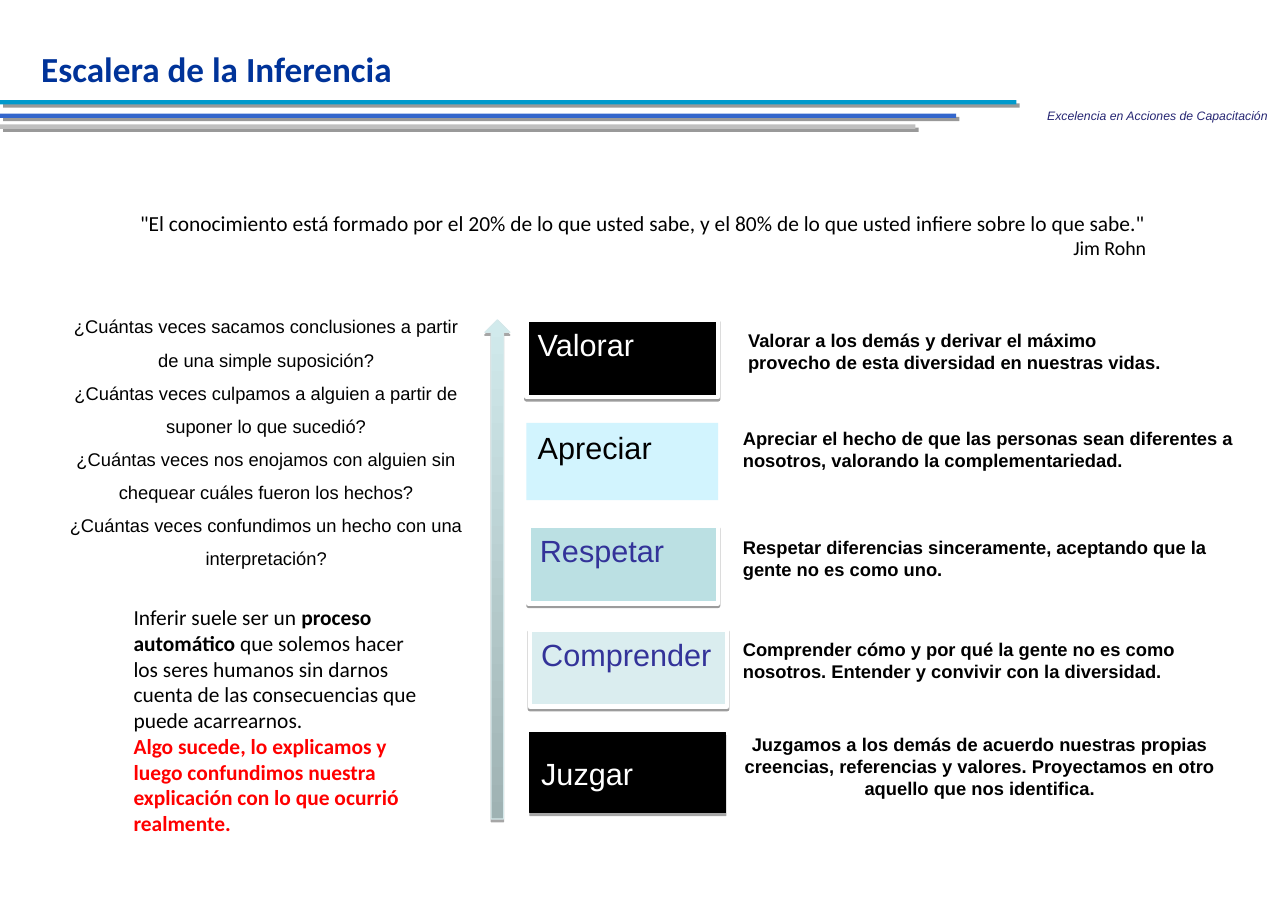
from dataclasses import dataclass

from lxml import etree
from pptx import Presentation
from pptx.dml.color import RGBColor
from pptx.enum.shapes import MSO_SHAPE
from pptx.enum.text import MSO_ANCHOR, MSO_AUTO_SIZE, PP_ALIGN
from pptx.oxml.ns import qn
from pptx.util import Cm, Pt

RECTANGLE, UP_ARROW = MSO_SHAPE.RECTANGLE, MSO_SHAPE.UP_ARROW
TOP, MIDDLE = MSO_ANCHOR.TOP, MSO_ANCHOR.MIDDLE
LEFT, CENTER, RIGHT = PP_ALIGN.LEFT, PP_ALIGN.CENTER, PP_ALIGN.RIGHT
NO_AUTOFIT = MSO_AUTO_SIZE.NONE


@dataclass(frozen=True)
class Theme:
    sans: str = "Arial"
    humanist: str = "Calibri"
    black: str = "000000"
    white: str = "FFFFFF"
    red: str = "FF0000"
    title: str = "003399"
    motto: str = "262673"
    indigo: str = "333399"
    sky: str = "D2F4FE"
    teal: str = "BBE0E3"
    mist: str = "DAEDEF"
    arrow_base: str = "9FB2B3"
    arrow_tip: str = "D1EAEC"
    arrow_edge: str = "D5E8EA"
    title_size: float = 23
    rung_size: float = 20
    quote_size: float = 14
    author_size: float = 13
    text_size: float = 12
    motto_size: float = 8


THEME = Theme()

TITLE = "Escalera de la Inferencia"
MOTTO = "Excelencia en Acciones de Capacitación"
QUOTE = ('"El conocimiento está formado por el 20% de lo que usted sabe, '
         'y el 80% de lo que usted infiere sobre lo que sabe."')
AUTHOR = "Jim Rohn"
QUESTIONS = [
    "¿Cuántas veces sacamos conclusiones a partir de una simple suposición?",
    "¿Cuántas veces culpamos a alguien a partir de suponer lo que sucedió?",
    "¿Cuántas veces nos enojamos con alguien sin chequear cuáles fueron los hechos?",
    "¿Cuántas veces confundimos un hecho con una interpretación?",
]
INFERENCE = [
    ("Inferir suele ser un ", False),
    ("proceso automático ", True),
    ("que solemos hacer los seres humanos sin darnos cuenta de las "
     "consecuencias que puede acarrearnos.", False),
]
WARNING = ("Algo sucede, lo explicamos y luego confundimos nuestra explicación "
           "con lo que ocurrió realmente.")

HEADER_BARS = [(2.31, 23.44, "0099CC"), (2.62, 22.05, "3366CC"), (2.87, 21.11, "BFBFBF")]

# label, left, width, height, fill, text colour, edge (colour, points), shadow (opacity, distance)
RUNGS = [
    ("Valorar", 12.14, 4.42, 1.78, THEME.black, THEME.white, (THEME.white, 3), (38, 1.6)),
    ("Apreciar", 12.14, 4.42, 1.78, THEME.sky, THEME.black, None, None),
    ("Respetar", 12.19, 4.37, 1.78, THEME.teal, THEME.indigo, (THEME.white, 3), (38, 1.6)),
    ("Comprender", 12.22, 4.55, 1.78, THEME.mist, THEME.indigo, (THEME.white, 3), (38, 1.6)),
    ("Juzgar", 12.22, 4.52, 1.85, THEME.black, THEME.white, (THEME.black, 0.75), (35, 1.8)),
]
RUNG_TOP, RUNG_PITCH = 7.37, 2.38

EXPLANATIONS = [
    ("Valorar a los demás y derivar el máximo provecho de esta diversidad en nuestras vidas.",
     (16.99, 7.44, 10.57, 1.52), LEFT),
    ("Apreciar el hecho de que las personas sean diferentes a nosotros, "
     "valorando la complementariedad.", (16.87, 9.7, 11.86, 1.78), LEFT),
    ("Respetar diferencias sinceramente, aceptando que la gente no es como uno.",
     (16.87, 12.22, 11.3, 1.52), LEFT),
    ("Comprender cómo y por qué la gente no es como nosotros. "
     "Entender y convivir con la diversidad.", (16.87, 14.58, 11.61, 1.75), LEFT),
    ("Juzgamos a los demás de acuerdo nuestras propias creencias, referencias y valores. "
     "Proyectamos en otro aquello que nos identifica.", (16.64, 16.76, 11.91, 2.18), CENTER),
]


def place(part, box):
    part.left, part.top, part.width, part.height = (Cm(length) for length in box)


def prepare(frame, anchor=TOP):
    frame.word_wrap = True
    frame.auto_size = NO_AUTOFIT
    frame.vertical_anchor = anchor
    frame.margin_left = frame.margin_right = Cm(0.26)
    frame.margin_top = frame.margin_bottom = Cm(0.14)
    return frame


def add_run(paragraph, wording, size, color, face=THEME.sans, bold=False, italic=False):
    run = paragraph.add_run()
    run.text = wording
    font = run.font
    font.name, font.size, font.bold, font.italic = face, Pt(size), bold, italic
    font.color.rgb = RGBColor.from_string(color)


def add_text(slide, box):
    return prepare(slide.shapes.add_textbox(*(Cm(length) for length in box)).text_frame)


def add_figure(slide, preset, box, fill=None, edge=None, shadow=None, angle=90):
    figure = slide.shapes.add_shape(preset, *(Cm(length) for length in box))
    if fill:
        figure.fill.solid()
        figure.fill.fore_color.rgb = RGBColor.from_string(fill)
    if edge:
        color, points = edge
        figure.line.color.rgb = RGBColor.from_string(color)
        figure.line.width = Pt(points)
    else:
        figure.line.fill.background()
    figure.shadow.inherit = False
    if shadow:
        opacity, distance = shadow
        effects = figure.element.spPr.find(qn("a:effectLst"))
        outer = etree.SubElement(effects, qn("a:outerShdw"), blurRad="0",
                                 dist=str(Pt(distance)), dir=str(angle * 60000),
                                 algn="ctr", rotWithShape="0")
        tint = etree.SubElement(outer, qn("a:srgbClr"), val=THEME.black)
        etree.SubElement(tint, qn("a:alpha"), val=str(opacity * 1000))
    return figure


def add_header(slide):
    title = slide.shapes.title
    place(title, (0.69, 0.66, 20.65, 1.55))
    heading = prepare(title.text_frame).paragraphs[0]
    heading.alignment, heading.line_spacing = LEFT, 1.3
    add_run(heading, TITLE, THEME.title_size, THEME.title, THEME.humanist, bold=True)
    motto = add_text(slide, (23.8, 2.36, 5.79, 0.64)).paragraphs[0]
    motto.alignment = CENTER
    add_run(motto, MOTTO, THEME.motto_size, THEME.motto, italic=True)
    for top, width, color in HEADER_BARS:
        add_figure(slide, RECTANGLE, (0, top, width, 0.1), color, shadow=(40, 3), angle=45)


def add_quote(slide):
    quote_frame = add_text(slide, (2.84, 4.7, 23.85, 2.03))
    quote, author = quote_frame.paragraphs[0], quote_frame.add_paragraph()
    quote.alignment = author.alignment = RIGHT
    add_run(quote, QUOTE, THEME.quote_size, THEME.black, THEME.humanist)
    add_run(author, AUTHOR, THEME.author_size, THEME.black, THEME.humanist)


def add_questions(slide):
    body = slide.placeholders[1]
    place(body, (1.24, 6.88, 9.8, 6.38))
    frame = prepare(body.text_frame, MIDDLE)
    for index, wording in enumerate(QUESTIONS):
        question = frame.add_paragraph() if index else frame.paragraphs[0]
        properties = question._p.get_or_add_pPr()
        properties.set("marL", "0")
        properties.set("indent", "0")
        etree.SubElement(properties, qn("a:buNone"))
        question.alignment, question.line_spacing = CENTER, 1.5
        question.space_before = Pt(0)
        add_run(question, wording, THEME.text_size, THEME.black)


def add_inference(slide):
    frame = add_text(slide, (2.82, 13.79, 7.37, 5.64))
    for wording, bold in INFERENCE:
        add_run(frame.paragraphs[0], wording, THEME.quote_size, THEME.black,
                THEME.humanist, bold)
    add_run(frame.add_paragraph(), WARNING, THEME.quote_size, THEME.red,
            THEME.humanist, bold=True)


def add_ladder(slide):
    arrow = add_figure(slide, UP_ARROW, (11.18, 7.37, 0.58, 11.51),
                       edge=(THEME.arrow_edge, 0.75), shadow=(35, 1.8))
    arrow.fill.gradient()
    arrow.fill.gradient_angle = 90
    for stop, color in zip(arrow.fill.gradient_stops, (THEME.arrow_base, THEME.arrow_tip)):
        stop.color.rgb = RGBColor.from_string(color)
    for index, (label, left, width, height, fill, ink, edge, shadow) in enumerate(RUNGS):
        box = (left, RUNG_TOP + index * RUNG_PITCH, width, height)
        rung = add_figure(slide, RECTANGLE, box, fill, edge, shadow)
        anchor = MIDDLE if label == "Juzgar" else TOP
        paragraph = prepare(rung.text_frame, anchor).paragraphs[0]
        paragraph.alignment = LEFT
        add_run(paragraph, label, THEME.rung_size, ink)
    for wording, box, alignment in EXPLANATIONS:
        explanation = add_text(slide, box).paragraphs[0]
        explanation.alignment = alignment
        add_run(explanation, wording, THEME.text_size, THEME.black, bold=True)


def main():
    deck = Presentation()
    deck.slide_width, deck.slide_height = Cm(29.7), Cm(21)
    slide = deck.slides.add_slide(deck.slide_layouts[1])
    add_header(slide)
    add_quote(slide)
    add_questions(slide)
    add_inference(slide)
    add_ladder(slide)
    deck.save("out.pptx")


if __name__ == "__main__":
    main()
